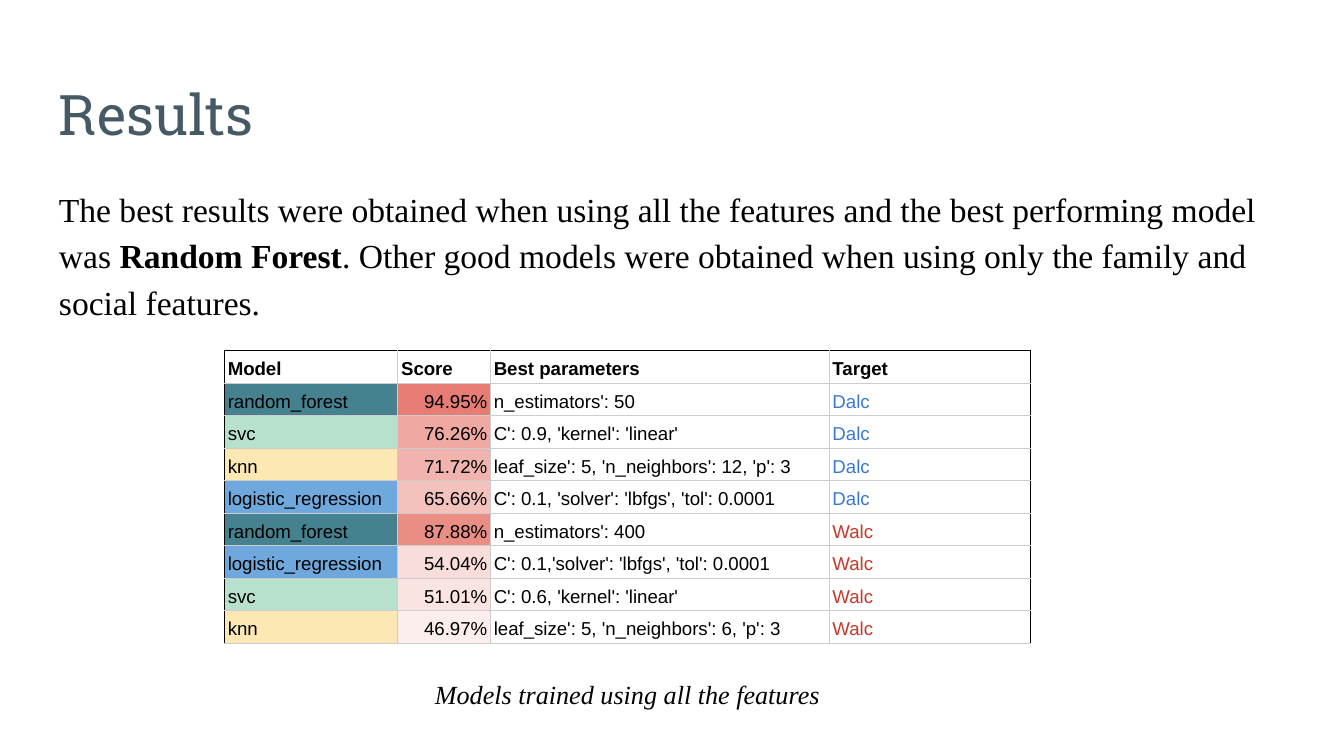
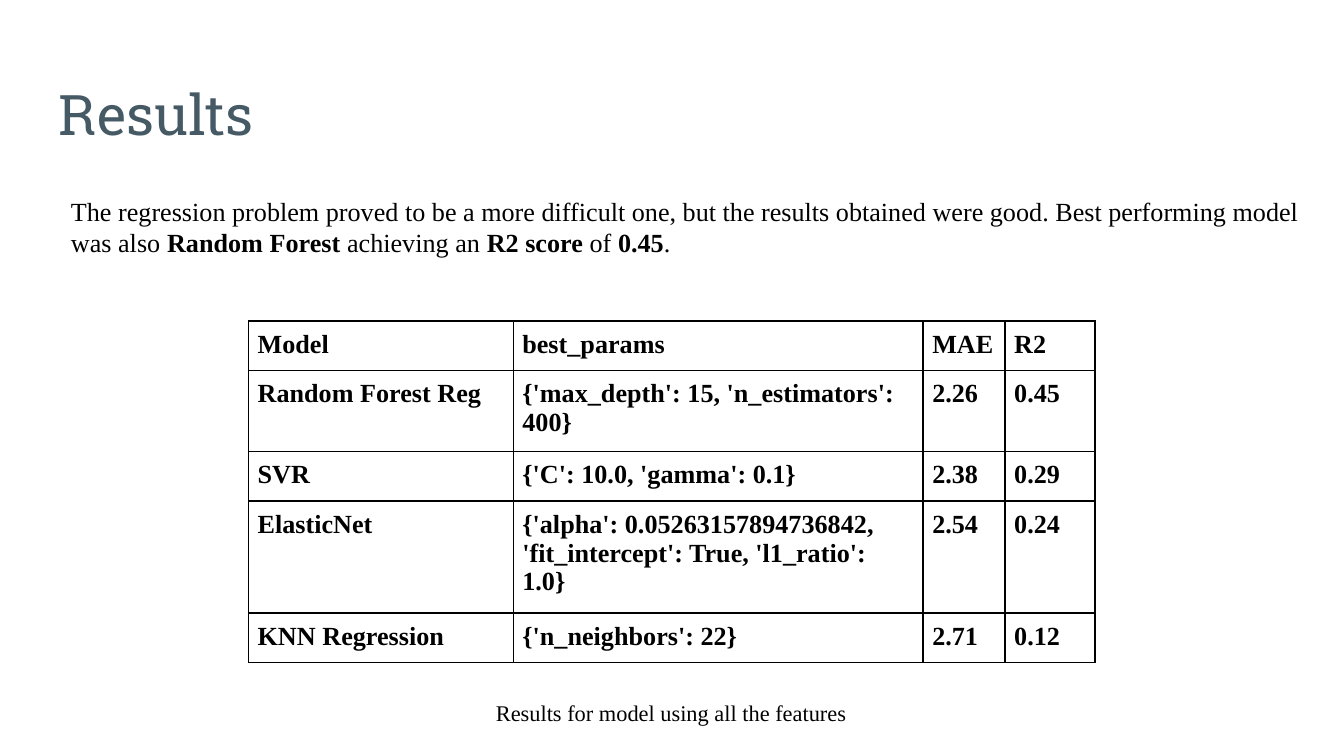
from dataclasses import dataclass
from typing import NamedTuple, Optional, Sequence

from lxml.etree import SubElement
from pptx import Presentation
from pptx.dml.color import RGBColor
from pptx.enum.text import MSO_ANCHOR as Anchor, PP_ALIGN as Align
from pptx.oxml.ns import qn
from pptx.util import Inches, Pt

UNIT = Inches(0.1)
COLUMNS, ROWS = 100, 56.25


@dataclass(frozen=True)
class Theme:
    heading: str = "455A64"
    ink: str = "000000"
    rule: str = "CCCCCC"
    score_low: str = "FCEEEC"
    score_high: str = "E67C73"
    slab: str = "Roboto Slab"
    serif: str = "Times New Roman"
    sans: str = "Arial"
    title_size: int = 30
    lead_size: int = 18
    text_size: int = 14
    caption_size: int = 12
    cell_size: int = 10


THEME = Theme()
MODEL_FILLS = {"random_forest": "45818E", "svc": "B7E1CD",
               "knn": "FCE8B2", "logistic_regression": "6FA8DC"}
TARGET_INKS = {"Dalc": "3C78D8", "Walc": "C53929"}


class Area(NamedTuple):
    col: float
    row: float
    cols: float
    rows: float


class Phrase(NamedTuple):
    text: str
    bold: bool = False


@dataclass(frozen=True)
class TextStyle:
    size: int
    font: str = THEME.serif
    color: str = THEME.ink
    bold: bool = False
    italic: bool = False
    align: Align = Align.LEFT
    spacing: float = 1.0
    after: int = 0


@dataclass(frozen=True)
class CellStyle:
    text: TextStyle
    fill: Optional[str] = None
    anchor: Anchor = Anchor.TOP
    inset: float = 0.67


class Border(NamedTuple):
    side: str
    color: str
    width: float


class Cell(NamedTuple):
    text: str
    style: CellStyle
    borders: Sequence[Border]


TITLE_AREA = Area(3.4, 4.9, 93.2, 6.3)
TITLE = TextStyle(THEME.title_size, THEME.slab, THEME.heading)
LEAD = TextStyle(THEME.lead_size, spacing=1.15, after=16)
NOTE = TextStyle(THEME.text_size)
SIDES = ("lnL", "lnR", "lnT", "lnB")


def grid(count: float) -> int:
    return round(count * UNIT)


def caption_style(size: int, italic: bool = False) -> TextStyle:
    return TextStyle(size, italic=italic, align=Align.CENTER, spacing=1.15, after=16)


def format_paragraph(paragraph, style: TextStyle) -> None:
    paragraph.alignment = style.align
    paragraph.line_spacing = style.spacing
    paragraph.space_after = Pt(style.after)
    for run in paragraph.runs:
        run.font.size = Pt(style.size)
        run.font.name = style.font
        run.font.bold = run.font.bold or style.bold
        run.font.italic = style.italic
        run.font.color.rgb = RGBColor.from_string(style.color)


def add_text(slide, area: Area, phrases: Sequence[Phrase], style: TextStyle) -> None:
    frame = slide.shapes.add_textbox(*map(grid, area)).text_frame
    frame.word_wrap = True
    frame.margin_left = frame.margin_right = grid(1)
    frame.margin_top = frame.margin_bottom = grid(1)
    paragraph = frame.paragraphs[0]
    for phrase in phrases:
        run = paragraph.add_run()
        run.text = phrase.text
        run.font.bold = phrase.bold
    format_paragraph(paragraph, style)


def draw_border(cell, border: Border) -> None:
    line = SubElement(cell._tc.get_or_add_tcPr(), qn(f"a:{border.side}"),
                      w=str(Pt(border.width)))
    SubElement(SubElement(line, qn("a:solidFill")), qn("a:srgbClr"), val=border.color)


def fill_cell(cell, content: Cell) -> None:
    style = content.style
    cell.text_frame.text = content.text
    format_paragraph(cell.text_frame.paragraphs[0], style.text)
    cell.vertical_anchor = style.anchor
    cell.margin_left = cell.margin_right = grid(style.inset)
    cell.margin_top = cell.margin_bottom = grid(style.inset)
    for border in content.borders:
        draw_border(cell, border)
    if style.fill:
        cell.fill.solid()
        cell.fill.fore_color.rgb = RGBColor.from_string(style.fill)
    else:
        cell.fill.background()


def add_grid_table(slide, col: float, row: float, widths: Sequence[float],
                   heights: Sequence[float], cells: Sequence[Sequence[Cell]]) -> None:
    area = Area(col, row, sum(widths), sum(heights))
    table = slide.shapes.add_table(len(heights), len(widths), *map(grid, area)).table
    table.first_row = table.horz_banding = False
    for column, width in zip(table.columns, widths):
        column.width = grid(width)
    for line, height, contents in zip(table.rows, heights, cells):
        line.height = grid(height)
        for cell, content in zip(line.cells, contents):
            fill_cell(cell, content)


def score_fill(score: float, lowest: float, highest: float) -> str:
    share = (score - lowest) / (highest - lowest)
    pairs = zip(RGBColor.from_string(THEME.score_low), RGBColor.from_string(THEME.score_high))
    return str(RGBColor(*(round(low + (high - low) * share) for low, high in pairs)))


def classifier_cells() -> list[list[Cell]]:
    header = ("Model", "Score", "Best parameters", "Target")
    results = (
        ("random_forest", 94.95, "n_estimators': 50", "Dalc"),
        ("svc", 76.26, "C': 0.9, 'kernel': 'linear'", "Dalc"),
        ("knn", 71.72, "leaf_size': 5, 'n_neighbors': 12, 'p': 3", "Dalc"),
        ("logistic_regression", 65.66, "C': 0.1, 'solver': 'lbfgs', 'tol': 0.0001", "Dalc"),
        ("random_forest", 87.88, "n_estimators': 400", "Walc"),
        ("logistic_regression", 54.04, "C': 0.1,'solver': 'lbfgs', 'tol': 0.0001", "Walc"),
        ("svc", 51.01, "C': 0.6, 'kernel': 'linear'", "Walc"),
        ("knn", 46.97, "leaf_size': 5, 'n_neighbors': 6, 'p': 3", "Walc"),
    )
    scores = [result[1] for result in results]

    def styled(text: str, dark_sides: Sequence[str] = (), fill: Optional[str] = None,
               color: str = THEME.ink, bold: bool = False, align: Align = Align.LEFT) -> Cell:
        style = TextStyle(THEME.cell_size, THEME.sans, color, bold, align=align, spacing=1.15)
        borders = [Border(side, THEME.ink if side in dark_sides else THEME.rule, 0.75)
                   for side in SIDES]
        return Cell(text, CellStyle(style, fill, Anchor.BOTTOM, 0.25), borders)

    outer = (("lnL",), (), (), ("lnR",))
    cells = [[styled(text, ("lnT", *sides), bold=True) for text, sides in zip(header, outer)]]
    for model, score, params, target in results:
        cells.append([
            styled(model, outer[0], MODEL_FILLS[model]),
            styled(f"{score:.2f}%", fill=score_fill(score, min(scores), max(scores)),
                   align=Align.RIGHT),
            styled(params),
            styled(target, outer[3], color=TARGET_INKS[target]),
        ])
    return cells


def regressor_cells() -> list[list[Cell]]:
    results = (
        ("Model", "best_params", "MAE", "R2"),
        ("Random Forest Reg", "{'max_depth': 15, 'n_estimators': 400}", "2.26", "0.45"),
        ("SVR", "{'C': 10.0, 'gamma': 0.1}", "2.38", "0.29"),
        ("ElasticNet", "{'alpha': 0.05263157894736842, 'fit_intercept': True, 'l1_ratio': 1.0}",
         "2.54", "0.24"),
        ("KNN Regression", "{'n_neighbors': 22}", "2.71", "0.12"),
    )
    style = CellStyle(TextStyle(THEME.text_size, bold=True))
    borders = [Border(side, THEME.ink, 1) for side in SIDES]
    return [[Cell(text, style, borders) for text in result] for result in results]


def add_results_slide(deck):
    slide = deck.slides.add_slide(deck.slide_layouts[6])
    add_text(slide, TITLE_AREA, [Phrase("Results")], TITLE)
    return slide


def build_classification(deck) -> None:
    slide = add_results_slide(deck)
    add_text(slide, Area(3.4, 12.6, 93.2, 11.6), [
        Phrase("The best results were obtained when using all the features "
               "and the best performing model was "),
        Phrase("Random Forest", True),
        Phrase(". Other good models were obtained when using only the family "
               "and social features."),
    ], LEAD)
    cells = classifier_cells()
    add_grid_table(slide, 16.7, 26.1, (12.9, 6.9, 25.2, 15), [2.34] * len(cells), cells)
    add_text(slide, Area(16.7, 49.1, 60, 5.2), [Phrase("Models trained using all the features")],
             caption_style(THEME.text_size, italic=True))


def build_regression(deck) -> None:
    slide = add_results_slide(deck)
    add_text(slide, Area(18.5, 50.7, 62.9, 4.4),
             [Phrase("Results for model using all the features")],
             caption_style(THEME.caption_size))
    add_grid_table(slide, 18.5, 23.9, (19.7, 30.5, 6.1, 6.7), (3.55, 5.65, 3.55, 7.8, 3.55),
                   regressor_cells())
    add_text(slide, Area(4.3, 13.5, 93.6, 8.8), [
        Phrase("The regression problem proved to be a more difficult one, but the results "
               "obtained were good. Best performing model was also "),
        Phrase("Random Forest ", True),
        Phrase("achieving an "),
        Phrase("R2 score ", True),
        Phrase("of "),
        Phrase("0.45", True),
        Phrase("."),
    ], NOTE)


def main() -> None:
    deck = Presentation()
    deck.slide_width, deck.slide_height = grid(COLUMNS), grid(ROWS)
    build_classification(deck)
    build_regression(deck)
    deck.save("out.pptx")


if __name__ == "__main__":
    main()
